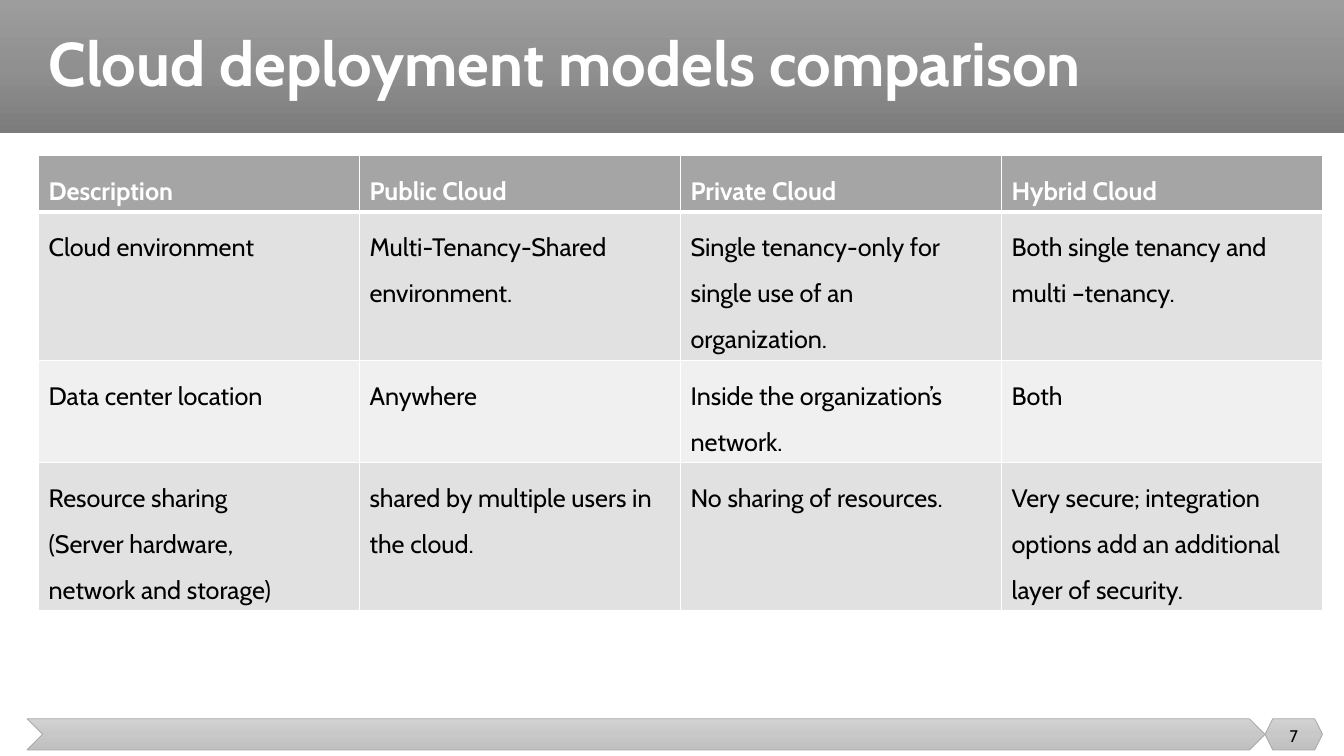
from copy import deepcopy
from dataclasses import dataclass

from lxml.etree import SubElement
from pptx import Presentation
from pptx.dml.color import RGBColor
from pptx.enum.shapes import MSO_SHAPE
from pptx.enum.text import MSO_ANCHOR, PP_ALIGN
from pptx.oxml.ns import qn
from pptx.util import Cm, Pt


@dataclass(frozen=True)
class Theme:
    """Hold the colours and type sizes of the slide."""
    font: str = "Cabin"
    white: str = "FFFFFF"
    black: str = "000000"
    accent: str = "A5A5A5"
    stripes: tuple = ("E1E1E1", "F0F0F0")
    header_band: tuple = ("9D9D9D", "909090", "7C7C7C")
    footer_band: tuple = ("D2D2D2", "C8C8C8", "C0C0C0")
    title_size: int = 44
    table_size: int = 18
    number_size: int = 12


def write_text(frame, text, font, size, color, bold=False,
               align=PP_ALIGN.LEFT, spacing=1.0, anchor=None):
    """Fill a text frame with one formatted paragraph per line."""
    frame.word_wrap = True
    if anchor is not None:
        frame.vertical_anchor = anchor
    for index, line in enumerate(text.split("\n")):
        para = frame.paragraphs[0] if index == 0 else frame.add_paragraph()
        para.alignment = align
        para.line_spacing = spacing
        para.space_before = Pt(0)
        span = para.add_run()
        span.text = line
        span.font.name = font
        span.font.size = Pt(size)
        span.font.bold = bold
        span.font.color.rgb = RGBColor.from_string(color)


class SlideBuilder:
    """Draw themed elements on the current slide."""

    def __init__(self, page, theme):
        """Keep the slide and its theme."""
        self.page = page
        self.theme = theme

    def band(self, kind, left, top, width, height, colors, outline=None):
        """Add a preset shape with a vertical three-stop gradient."""
        shape = self.page.shapes.add_shape(
            kind, Cm(left), Cm(top), Cm(width), Cm(height))
        shape.shadow.inherit = False
        shape.fill.gradient()
        shape.fill.gradient_angle = 270
        stop_list = shape.fill._fill._gradFill.find(qn("a:gsLst"))
        stop_list.insert(1, deepcopy(stop_list[0]))
        for index, (stop, color) in enumerate(zip(shape.fill.gradient_stops, colors)):
            stop.position = index / 2
            stop.color.rgb = RGBColor.from_string(color)
        if outline:
            shape.line.color.rgb = RGBColor.from_string(outline)
            shape.line.width = Pt(0.5)
        else:
            shape.line.fill.background()

    def title(self, text, left, top, width, height):
        """Place the title placeholder above the header band."""
        box = self.page.shapes.title
        box.left, box.top, box.width, box.height = map(Cm, (left, top, width, height))
        self.page.shapes.element.append(box.element)
        write_text(box.text_frame, text, self.theme.font, self.theme.title_size,
                   self.theme.white, bold=True, spacing=0.9, anchor=MSO_ANCHOR.MIDDLE)

    def label(self, text, left, top, width, height):
        """Add a small centred text box."""
        box = self.page.shapes.add_textbox(Cm(left), Cm(top), Cm(width), Cm(height))
        write_text(box.text_frame, text, self.theme.font, self.theme.number_size,
                   self.theme.black, align=PP_ALIGN.CENTER, anchor=MSO_ANCHOR.MIDDLE)

    def borders(self, cell, top, bottom):
        """Draw white cell borders with the given top and bottom widths."""
        properties = cell._tc.get_or_add_tcPr()
        for side, width in (("L", 1), ("R", 1), ("T", top), ("B", bottom)):
            line = SubElement(properties, qn(f"a:ln{side}"), w=str(Pt(width)))
            fill = SubElement(line, qn("a:solidFill"))
            SubElement(fill, qn("a:srgbClr"), val=self.theme.white)

    def table(self, rows, left, top, width, heights):
        """Add a table with a header row and striped body rows."""
        theme = self.theme
        grid = self.page.shapes.add_table(
            len(rows), len(rows[0]), Cm(left), Cm(top), Cm(width), Cm(sum(heights))).table
        for row_index, (row, height) in enumerate(zip(rows, heights)):
            header = row_index == 0
            grid.rows[row_index].height = Cm(height)
            fill = theme.accent if header else theme.stripes[(row_index - 1) % 2]
            for column_index, text in enumerate(row):
                cell = grid.cell(row_index, column_index)
                self.borders(cell, 3 if row_index == 1 else 1, 3 if header else 1)
                cell.fill.solid()
                cell.fill.fore_color.rgb = RGBColor.from_string(fill)
                write_text(cell.text_frame, text, theme.font, theme.table_size,
                           theme.white if header else theme.black,
                           bold=header, spacing=1.5)


COMPARISON = [
    ("Description", "Public Cloud", "Private Cloud", "Hybrid Cloud"),
    ("Cloud environment",
     "Multi-Tenancy-Shared\nenvironment.",
     "Single tenancy-only for\nsingle use of an\norganization.",
     "Both single tenancy and\nmulti –tenancy."),
    ("Data center location",
     "Anywhere",
     "Inside the organization’s\nnetwork.",
     "Both"),
    ("Resource sharing\n(Server hardware,\nnetwork and storage)",
     "shared by multiple users in\nthe cloud.",
     "No sharing of resources.",
     "Very secure; integration\noptions add an additional\nlayer of security."),
]


def main():
    """Build and save the comparison slide."""
    deck = Presentation()
    deck.slide_width, deck.slide_height = Cm(33.87), Cm(19.05)
    theme = Theme()
    builder = SlideBuilder(deck.slides.add_slide(deck.slide_layouts[5]), theme)
    builder.band(MSO_SHAPE.RECTANGLE, 0, 0, 33.87, 3.35, theme.header_band)
    builder.band(MSO_SHAPE.CHEVRON, 0.68, 18.11, 31.2, 0.79,
                 theme.footer_band, theme.accent)
    builder.band(MSO_SHAPE.HEXAGON, 31.88, 18.11, 1.45, 0.79,
                 theme.footer_band, theme.accent)
    builder.title("Cloud deployment models comparison", 0.97, 0, 32.36, 3.35)
    builder.table(COMPARISON, 0.97, 3.92, 32.36, (1.4, 3.73, 2.57, 3.73))
    builder.label("7", 31.88, 18.03, 1.45, 1.02)
    deck.save("out.pptx")


if __name__ == "__main__":
    main()
